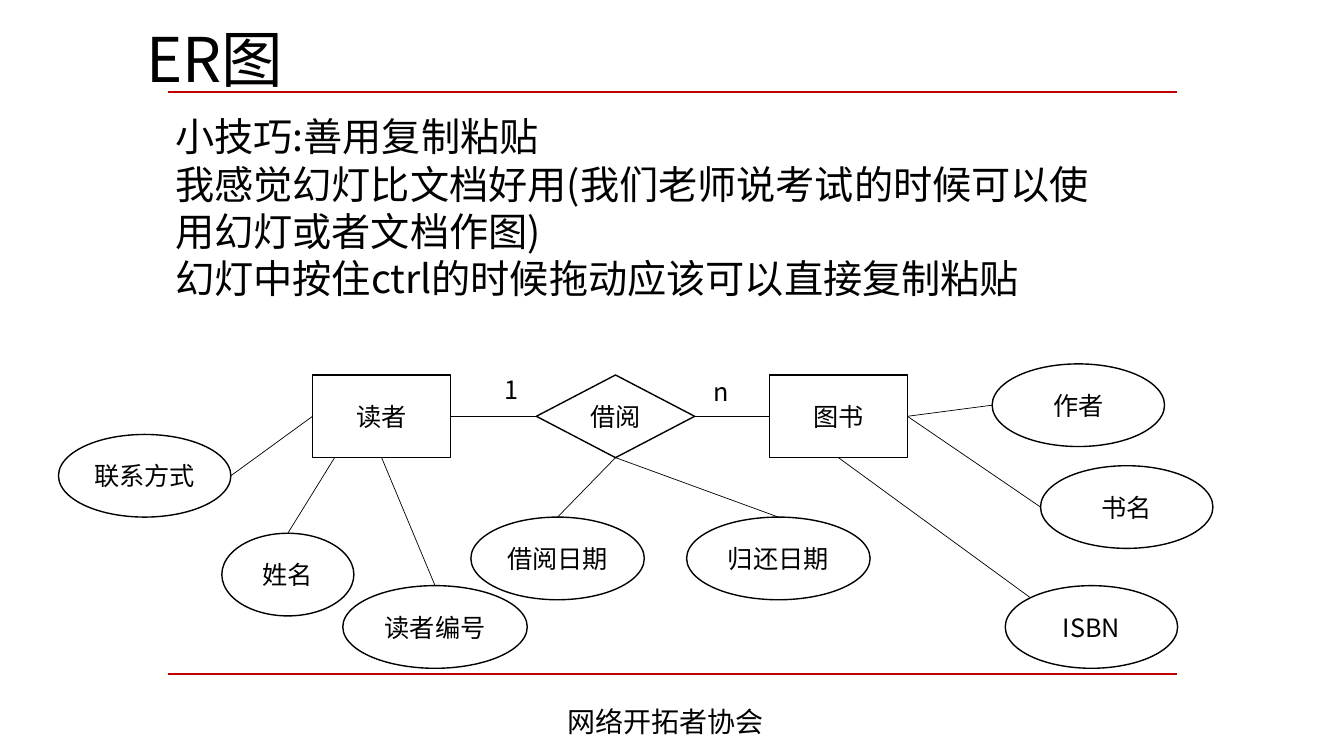
from pptx import Presentation
from pptx.dml.color import RGBColor
from pptx.enum.shapes import MSO_CONNECTOR, MSO_SHAPE as SHAPE
from pptx.enum.text import MSO_ANCHOR, PP_ALIGN
from pptx.oxml.ns import qn
from pptx.util import Inches, Pt

FONT = "Noto Sans CJK SC"
BLACK, WHITE, RED = "000000", "FFFFFF", "C00000"
NODE_HEIGHT = 0.82
ENTITY_TOP = 3.72

# Points on a node, as fractions of its width and height
LEFT, RIGHT, TOP, BOTTOM = (0, 0.5), (1, 0.5), (0.5, 0), (0.5, 1)
TOP_LEFT = (0.146, 0.146)

# name: preset, left, top, width
NODES = {
    "读者": (SHAPE.RECTANGLE, 3.1, ENTITY_TOP, 1.37),
    "图书": (SHAPE.RECTANGLE, 7.63, ENTITY_TOP, 1.37),
    "借阅": (SHAPE.FLOWCHART_DECISION, 5.32, ENTITY_TOP, 1.57),
    "借阅日期": (SHAPE.OVAL, 4.67, 5.13, 1.72),
    "归还日期": (SHAPE.OVAL, 6.81, 5.13, 1.82),
    "姓名": (SHAPE.OVAL, 2.2, 5.29, 1.31),
    "读者编号": (SHAPE.OVAL, 3.4, 5.81, 1.83),
    "联系方式": (SHAPE.OVAL, 0.58, 4.31, 1.71),
    "ISBN": (SHAPE.OVAL, 9.97, 5.81, 1.71),
    "书名": (SHAPE.OVAL, 10.32, 4.62, 1.71),
    "作者": (SHAPE.OVAL, 9.84, 3.61, 1.71),
}
LINKS = [
    ("读者", RIGHT, "借阅", LEFT),
    ("借阅", RIGHT, "图书", LEFT),
    ("借阅日期", TOP, "借阅", BOTTOM),
    ("归还日期", TOP, "借阅", BOTTOM),
    ("姓名", TOP, "读者", (0.16, 1)),
    ("读者编号", TOP, "读者", BOTTOM),
    ("联系方式", RIGHT, "读者", LEFT),
    ("作者", LEFT, "图书", RIGHT),
    ("书名", LEFT, "图书", RIGHT),
    ("ISBN", TOP_LEFT, "图书", BOTTOM),
]
TIPS = [
    "小技巧:善用复制粘贴",
    "我感觉幻灯比文档好用(我们老师说考试的时候可以使用幻灯或者文档作图)",
    "幻灯中按住ctrl的时候拖动应该可以直接复制粘贴",
]


def color(hex_code):
    return RGBColor.from_string(hex_code)


def style_runs(paragraph, size):
    for run in paragraph.runs:
        run.font.size = Pt(size)
        run.font.name = FONT
        run.font.color.rgb = color(BLACK)
        east_asian = run._r.get_or_add_rPr().makeelement(qn("a:ea"), {"typeface": FONT})
        run.font._element.find(qn("a:latin")).addnext(east_asian)


def add_text(slide, lines, left, top, width, height, size):
    """Add left-aligned text with a fixed line pitch of 1.2 times its size."""
    frame = slide.shapes.add_textbox(
        Inches(left), Inches(top), Inches(width), Inches(height)).text_frame
    frame.word_wrap = True
    frame.margin_top = Inches(0.05 + 0.0014 * size)
    frame.text = "\n".join(lines)
    for paragraph in frame.paragraphs:
        paragraph.line_spacing = Pt(1.2 * size)
        style_runs(paragraph, size)


def add_node(slide, name, preset, left, top, width):
    node = slide.shapes.add_shape(
        preset, Inches(left), Inches(top), Inches(width), Inches(NODE_HEIGHT))
    node.shadow.inherit = False
    node.fill.solid()
    node.fill.fore_color.rgb = color(WHITE)
    node.line.color.rgb = color(BLACK)
    node.line.width = Pt(1)
    frame = node.text_frame
    frame.vertical_anchor = MSO_ANCHOR.MIDDLE
    # Four-character names need the full width of an oval
    frame.word_wrap = False
    frame.text = name
    frame.paragraphs[0].alignment = PP_ALIGN.CENTER
    style_runs(frame.paragraphs[0], 18)


def add_line(slide, start, end, line_color, width):
    line = slide.shapes.add_connector(
        MSO_CONNECTOR.STRAIGHT, *(Inches(value) for value in (*start, *end)))
    line.line.color.rgb = color(line_color)
    line.line.width = Pt(width)
    properties = line._element.spPr
    properties.append(properties.makeelement(qn("a:effectLst"), {}))


def node_point(name, fraction):
    _, left, top, width = NODES[name]
    return left + fraction[0] * width, top + fraction[1] * NODE_HEIGHT


def main():
    prs = Presentation()
    prs.slide_width, prs.slide_height = Inches(13.33), Inches(7.5)
    slide = prs.slides.add_slide(prs.slide_layouts[6])

    for rule_y in (0.91, 6.69):
        add_line(slide, (1.67, rule_y), (11.67, rule_y), RED, 1.5)
    add_text(slide, ["ER图"], 1.35, 0.1, 9.39, 0.84, 44)
    add_text(slide, TIPS, 1.64, 1.03, 9.5, 1.99, 28)
    add_text(slide, ["网络开拓者协会"], 5.53, 6.91, 3.82, 0.44, 20)

    for name, geometry in NODES.items():
        add_node(slide, name, *geometry)
    for source, source_side, target, target_side in LINKS:
        add_line(slide, node_point(source, source_side),
                 node_point(target, target_side), BLACK, 0.5)
    add_text(slide, ["1"], 4.91, 3.64, 0.34, 0.4, 18)
    add_text(slide, ["n"], 6.98, 3.66, 0.34, 0.4, 18)

    prs.save("out.pptx")


if __name__ == "__main__":
    main()
